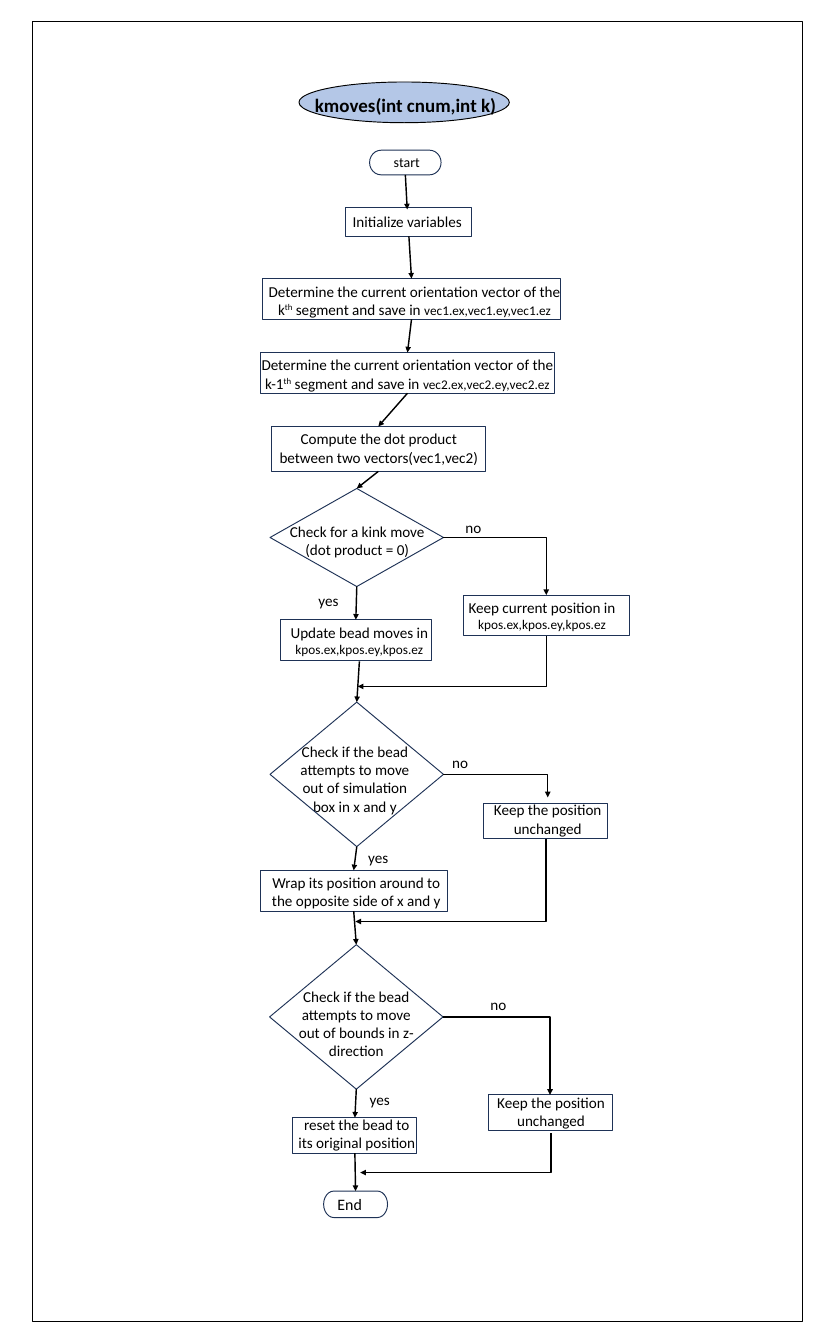
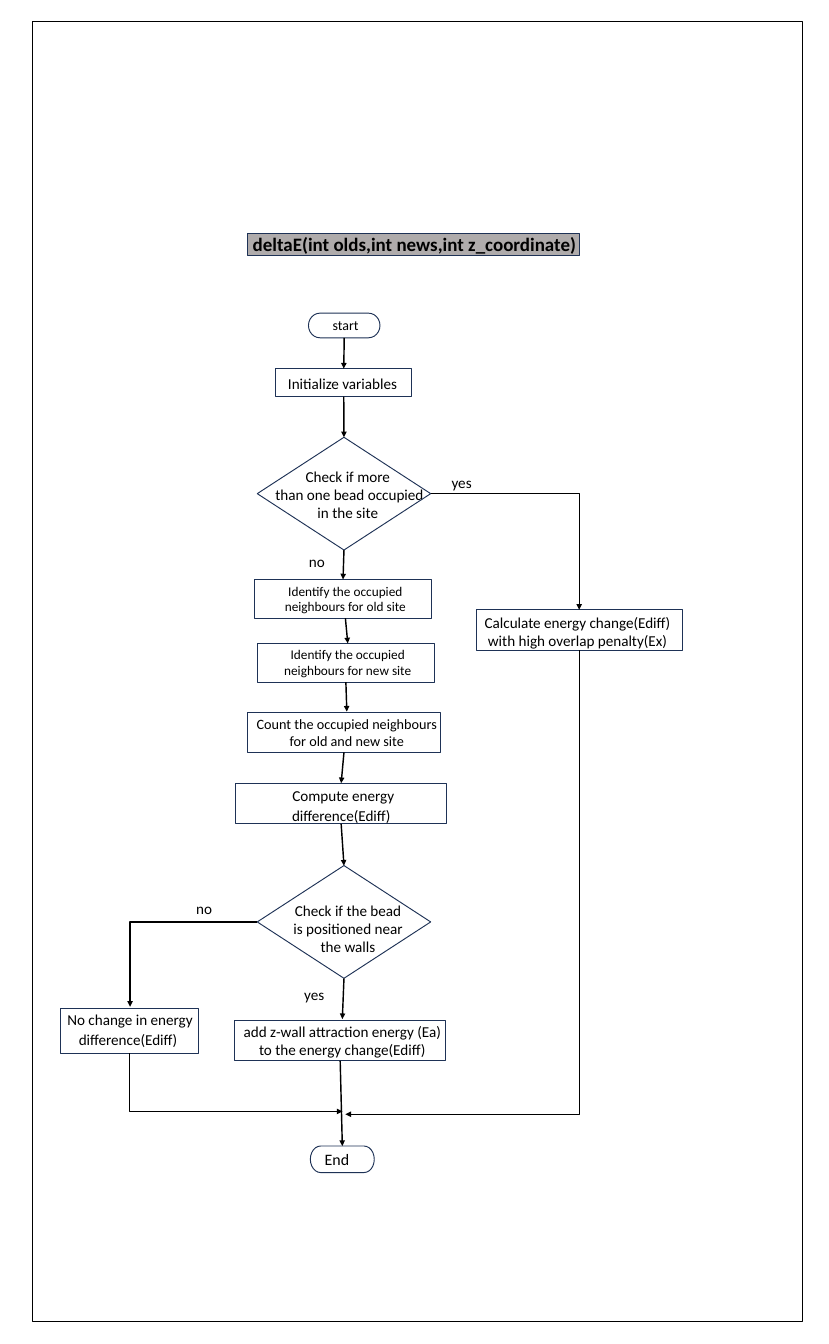
import pptx
import pptx.dml.color
import pptx.enum.shapes
import pptx.enum.text
import pptx.oxml.ns
import pptx.oxml.xmlchemy
import pptx.util

Pt = pptx.util.Pt
Shape = pptx.enum.shapes.MSO_SHAPE
Connector = pptx.enum.shapes.MSO_CONNECTOR
Align = pptx.enum.text.PP_ALIGN

THEME = {
    "font": "Calibri",
    "ink": "000000",
    "navy": "1E3256",
    "blue": "B4C7E7",
    "grey": "AFABAB",
    "outline": 1,
    "arrow": 1.5,
    "sizes": {"body": 16, "super": 16, "code": 14, "small": 14, "count": 15,
              "start": 14.7, "end": 16.8, "gap": 18, "title": 20},
}
PAGE = (874.8, 1418.4)
FRAME = (34.5, 23, 812, 1371.5)
BRANCH_SIZE = (50, 26.5)
TOP, LEFT, BOTTOM, RIGHT = range(4)
BOX, DIAMOND, TERMINAL = Shape.RECTANGLE, Shape.DIAMOND, Shape.FLOWCHART_TERMINATOR


def body(*lines):
    return [[(line, "body")] for line in lines]


def orientation(segment, vector):
    names = ",".join(f"{vector}.{axis}" for axis in ("ex", "ey", "ez"))
    return [[(f"Determine the current orientation vector of the {segment}", "body"),
             ("th", "super"), (" segment and save in ", "body"), (names, "code")]]


def positions(lead):
    return [[(lead, "body"), ("kpos.ex,kpos.ey,kpos.ez", "code")]]


START = [[("start", "start")]]
END = [[("End", "end")]]
KEEP = body("Keep the position unchanged")

KMOVES = {
    "title": ("kmoves(int cnum,int k)", (0, 95, 856, 32)),
    "band": (Shape.OVAL, (315.5, 86.5, 222, 43), "blue", "ink"),
    "nodes": {
        "start": (TERMINAL, (390, 158.5, 75.5, 26), (378.5, 158.5, 101.5, 25), START),
        "initialize": (BOX, (365, 219.5, 133, 30), (360, 221, 139.5, 26.5),
                       body("Initialize variables")),
        "first vector": (BOX, (276.5, 294, 315.5, 43), (270, 294, 335, 46),
                         orientation("k", "vec1")),
        "second vector": (BOX, (274.5, 372, 311, 43), (268, 372, 324, 46),
                          orientation("k-1", "vec2")),
        "dot product": (BOX, (286.5, 450, 225.5, 47.5), (281, 450, 237.5, 46),
                        body("Compute the dot product between two vectors(vec1,vec2)")),
        "kink": (DIAMOND, (285, 515.5, 183, 103.5), (283.5, 548, 187, 46),
                 body("Check for a kink move", "(dot product = 0)")),
        "keep current": (BOX, (489, 628, 175, 43), (484.5, 628, 175, 44),
                         positions("Keep current position in ")),
        "update": (BOX, (296, 654, 159, 43), (296, 654, 166.5, 44),
                   positions("Update bead moves in ")),
        "check xy": (DIAMOND, (285, 741, 183, 152.5), (306, 780, 137, 104.5),
                     body("Check if the bead attempts to move out of simulation box in x and y")),
        "keep xy": (BOX, (510.5, 847.5, 131, 37.5), (507, 841.5, 142, 46), KEEP),
        "wrap": (BOX, (274.5, 918.5, 197.5, 43), (276, 918, 200, 46),
                 body("Wrap its position around to the opposite side of x and y")),
        "check z": (DIAMOND, (284.5, 997, 183, 152.5), (307.5, 1038, 137, 104.5),
                    body("Check if the bead attempts to move out of bounds in z-direction")),
        "keep z": (BOX, (515, 1155.5, 131, 37.5), (510.5, 1150, 142, 46), KEEP),
        "reset": (BOX, (309, 1179.5, 131, 37.5), (305.5, 1173.5, 142, 46),
                  body("reset the bead to its original position")),
        "end": (TERMINAL, (341.5, 1257, 67.5, 28), (349, 1257, 60, 27.5), END),
    },
    "branches": [("yes", 329, 620.5), ("no", 484, 543.5), ("yes", 381.5, 892),
                 ("no", 470, 792), ("yes", 383, 1147.5), ("no", 510.5, 1047)],
    "arrows": [("start", "initialize text"), ("initialize", "first vector"),
               ("first vector", "second vector"), ("second vector", "dot product"),
               ("dot product", "kink"), ("kink", "update"), ("update text", "check xy"),
               ("check xy", "wrap"), ("wrap", "check z"), ("check z", "reset"),
               ("reset", "end")],
    "elbows": [("kink", RIGHT, "keep current"), ("keep current", BOTTOM, (377.5, 724.5)),
               ("check xy", RIGHT, "keep xy text"), ("keep xy", BOTTOM, (375, 972.5)),
               ("check z", RIGHT, "keep z"), ("keep z text", BOTTOM, (380, 1237.5))],
}

DELTA_E = {
    "title": ("deltaE(int olds,int news,int z_coordinate)", (0, 242, 874.8, 32)),
    "band": (BOX, (261.5, 246, 350, 24), "grey", "navy"),
    "nodes": {
        "start": (TERMINAL, (325.5, 330.5, 75.5, 26), (314, 330.5, 101.5, 25), START),
        "initialize": (BOX, (291, 389, 143.5, 29.5), (291, 391.5, 141, 26.5),
                       body("Initialize variables")),
        "occupied": (DIAMOND, (271.5, 461.5, 183, 119), (273.5, 489.5, 187, 65.5),
                     body("Check if more", " than one bead occupied in the site")),
        "penalty": (BOX, (502.5, 643.5, 217.5, 43), (499, 643.5, 221, 46),
                    body("Calculate energy change(Ediff) with high overlap penalty(Ex)")),
        "old site": (BOX, (268.5, 611.5, 187, 41), (269.5, 611.5, 190, 41),
                     [[("Identify the occupied neighbours for old site", "small")]]),
        "new site": (BOX, (271.5, 679, 187, 41), (272, 679, 190, 41),
                     [[("Identify the occupied neighbours for new site", "small")]]),
        "count": (BOX, (261.5, 751.5, 203, 42.5), (261.5, 751, 209, 44),
                  [[("Count the occupied neighbours for old and new site", "count")]]),
        "difference": (BOX, (248.5, 826.5, 223, 43), (248.5, 826, 227.5, 48),
                       [[("Compute energy difference(Ediff)", "body"), (" ", "gap")]]),
        "walls": (DIAMOND, (271.5, 913.5, 183, 119), (299.5, 947.5, 135.5, 65.5),
                  body("Check if the bead is positioned near the walls")),
        "no change": (BOX, (63.5, 1064, 146, 47.5), (63.5, 1062.5, 147.5, 48),
                      [[("No change in energy difference(Ediff)", "body"), (" ", "gap")]]),
        "attraction": (BOX, (247.5, 1076.5, 223, 43), (247.5, 1075.5, 227.5, 46),
                       body("add z-wall attraction energy (Ea) to the energy change(Ediff)")),
        "end": (TERMINAL, (327.5, 1209.5, 67.5, 28), (335.5, 1209.5, 60, 27.5), END),
    },
    "branches": [("no", 319, 579), ("yes", 469.5, 495.5),
                 ("yes", 314, 1036), ("no", 200, 946)],
    "arrows": [("start", "initialize"), ("initialize", "occupied"), ("occupied", "old site"),
               ("old site text", "new site text"), ("new site", "count text"),
               ("count", "difference"), ("difference", "walls"),
               ("walls", "attraction text"), ("attraction", "end")],
    "elbows": [("occupied", RIGHT, "penalty"), ("penalty", BOTTOM, (364.5, 1176)),
               ("walls", LEFT, "no change text"), ("no change", BOTTOM, (361.5, 1173))],
}


def color(name):
    return pptx.dml.color.RGBColor.from_string(THEME[name])


def add_outline(shapes, preset, place, fill=None, line="navy"):
    shape = shapes.add_shape(preset, *map(Pt, place))
    shape.shadow.inherit = False
    if fill:
        shape.fill.solid()
        shape.fill.fore_color.rgb = color(fill)
    else:
        shape.fill.background()
    shape.line.color.rgb = color(line)
    shape.line.width = Pt(THEME["outline"])
    return shape


def add_text(shapes, place, paragraphs, align=Align.CENTER):
    box = shapes.add_textbox(*map(Pt, place))
    frame = box.text_frame
    frame.word_wrap = True
    for index, runs in enumerate(paragraphs):
        para = frame.paragraphs[0] if index == 0 else frame.add_paragraph()
        para.alignment = align
        for text, style in runs:
            span = para.add_run()
            span.text = text
            formats = {"name": THEME["font"], "size": Pt(THEME["sizes"][style]),
                       "bold": style == "title"}
            for name, value in formats.items():
                setattr(span.font, name, value)
            span.font.color.rgb = color("ink")
            if style == "super":
                span._r.get_or_add_rPr().set("baseline", "30000")
    return box


def add_arrow(page, kind, start, end):
    arrow = page.shapes.add_connector(kind, *start, *end)
    arrow.line.color.rgb = color("ink")
    arrow.line.width = Pt(THEME["arrow"])
    tail = pptx.oxml.xmlchemy.OxmlElement("a:tailEnd")
    tail.set("type", "triangle")
    arrow.line._get_or_add_ln().append(tail)
    arrow._element.spPr.append(pptx.oxml.xmlchemy.OxmlElement("a:effectLst"))
    return arrow


def side_point(shape, side):
    across = {LEFT: 0, RIGHT: shape.width}.get(side, shape.width // 2)
    down = {TOP: 0, BOTTOM: shape.height}.get(side, shape.height // 2)
    return shape.left + across, shape.top + down


def add_elbow(page, start, end, down_first):
    arrow = add_arrow(page, Connector.ELBOW, start, end)
    properties = arrow._element.spPr
    properties.find(pptx.oxml.ns.qn("a:prstGeom")).set("prst", "bentConnector2")
    if down_first:
        (start_x, start_y), (end_x, end_y) = start, end
        width, height = abs(end_y - start_y), abs(end_x - start_x)
        rightward = end_x > start_x
        arrow.left = (start_x + end_x - width) // 2
        arrow.top = (start_y + end_y - height) // 2
        arrow.width, arrow.height = width, height
        transform = properties.find(pptx.oxml.ns.qn("a:xfrm"))
        transform.set("rot", str((270 if rightward else 90) * 60000))
        transform.set("flipH", str(int(rightward)))


def add_flowchart(deck, chart):
    page = deck.slides.add_slide(deck.slide_layouts[6])
    add_outline(page.shapes, BOX, FRAME, line="ink")
    add_outline(page.shapes, *chart["band"])
    title, place = chart["title"]
    add_text(page.shapes, place, [[(title, "title")]])

    parts = {}
    for name, (preset, outline, label, paragraphs) in chart["nodes"].items():
        group = page.shapes.add_group_shape()
        align = Align.LEFT if name == "end" else Align.CENTER
        parts[name + " text"] = add_text(group.shapes, label, paragraphs, align)
        parts[name] = add_outline(group.shapes, preset, outline)

    for answer, left, top in chart["branches"]:
        add_text(page.shapes, (left, top, *BRANCH_SIZE), body(answer), Align.LEFT)

    for source, target in chart["arrows"]:
        ends = side_point(parts[source], BOTTOM), side_point(parts[target], TOP)
        arrow = add_arrow(page, Connector.STRAIGHT, *ends)
        arrow.begin_connect(parts[source], BOTTOM)
        arrow.end_connect(parts[target], TOP)

    for source, side, target in chart["elbows"]:
        if target in parts:
            end = side_point(parts[target], TOP)
        else:
            end = tuple(map(Pt, target))
        add_elbow(page, side_point(parts[source], side), end, side == BOTTOM)


def main():
    deck = pptx.Presentation()
    deck.slide_width, deck.slide_height = map(Pt, PAGE)
    for chart in (KMOVES, DELTA_E):
        add_flowchart(deck, chart)
    deck.save("out.pptx")


if __name__ == "__main__":
    main()
